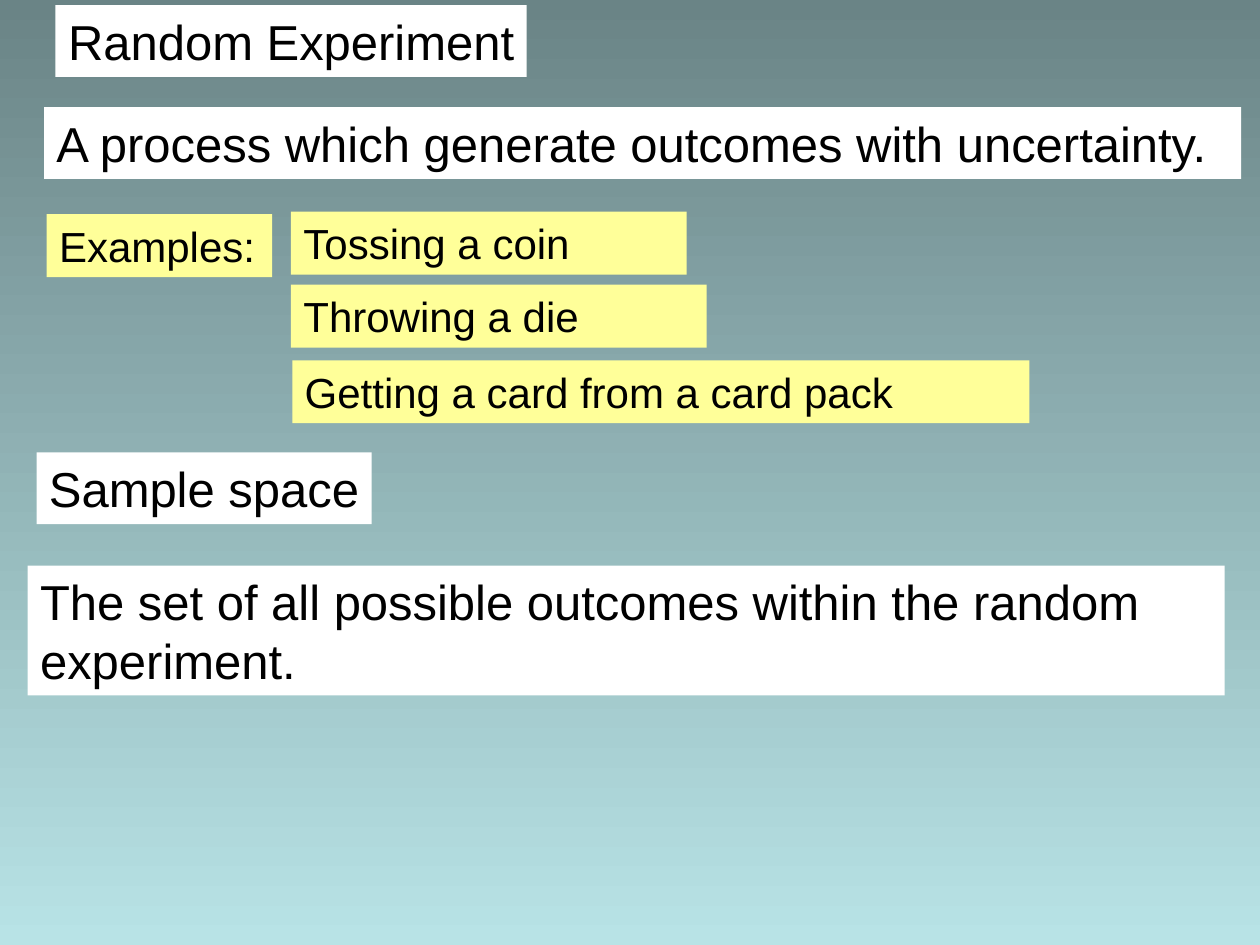
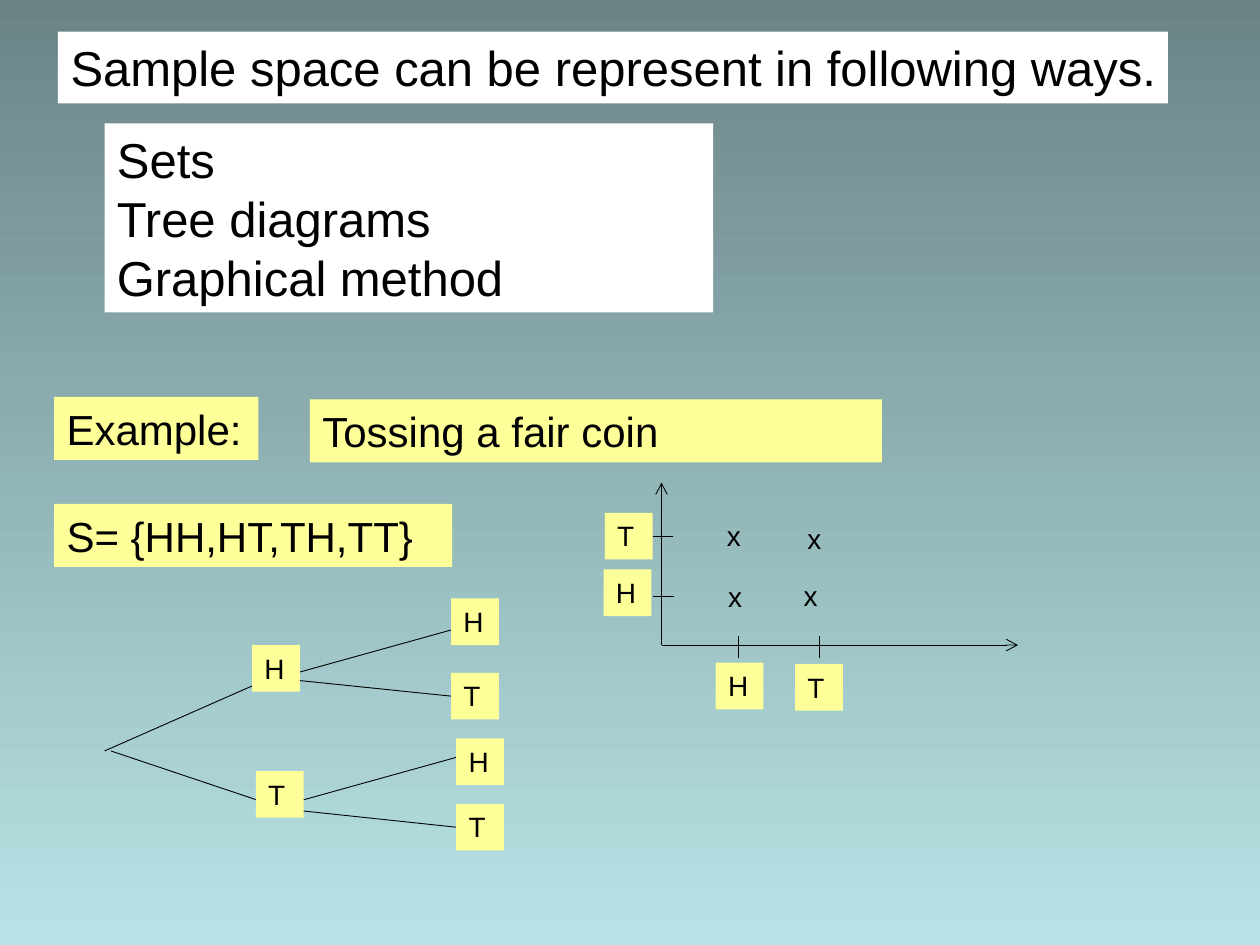
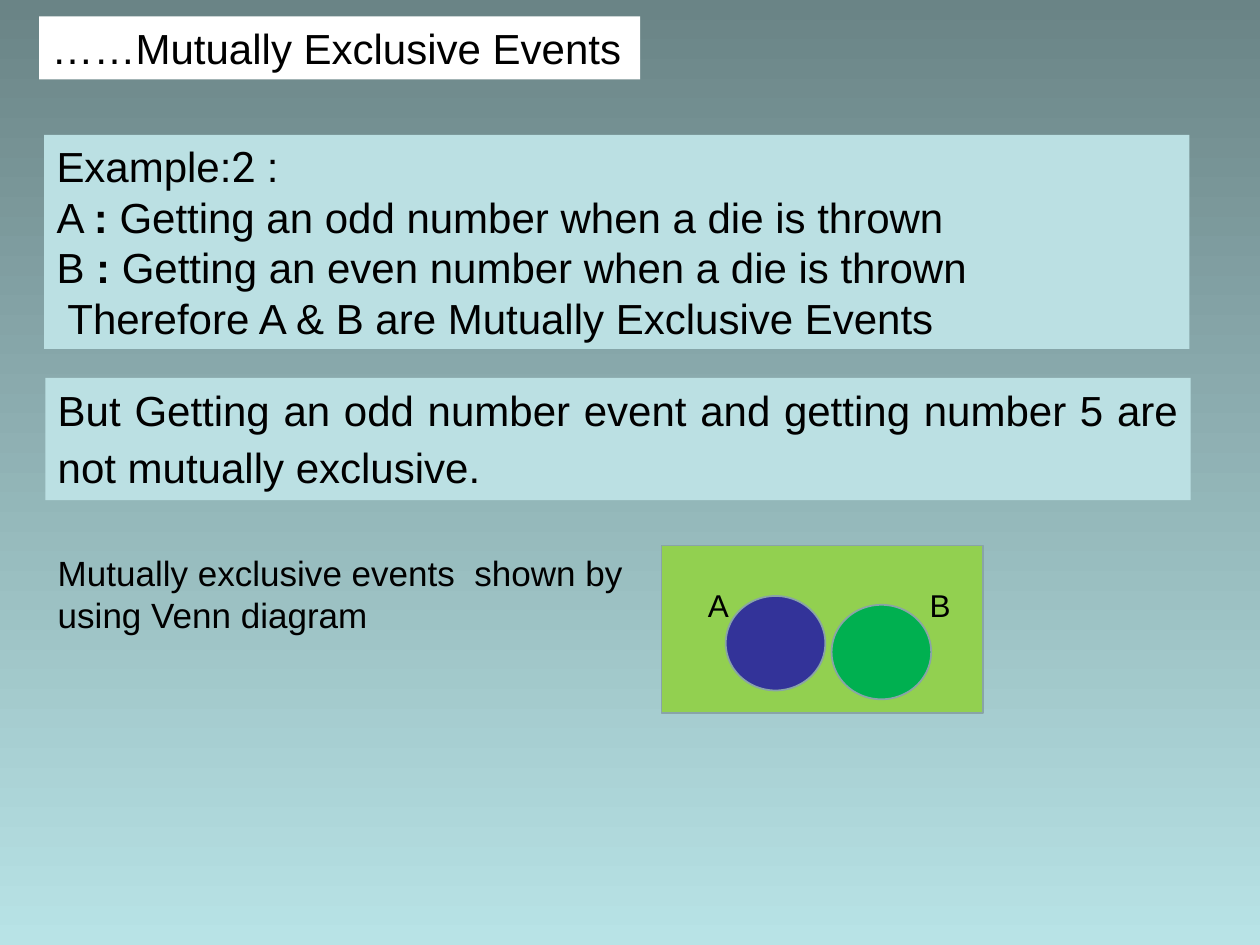
from lxml import etree
from pptx import Presentation
from pptx import util as u
from pptx.dml.color import RGBColor
from pptx.enum import shapes, text
from pptx.oxml.ns import qn

COLORS = {
    "top": "6A8486", "bottom": "B8E3E6", "ink": "000000", "white": "FFFFFF",
    "yellow": "FFFF99", "aqua": "BBE0E3", "lime": "92D050", "navy": "333399",
    "green": "00B050", "outline": "89A4A7",
}
FONT = "Arial"
LEFT, JUSTIFY = text.PP_ALIGN.LEFT, text.PP_ALIGN.JUSTIFY

HEADING = dict(size=28, fill="white")
EXAMPLE = dict(size=24, fill="yellow")
PANEL = dict(size=24, fill="aqua", align=JUSTIFY)
NODE = dict(size=16, fill="yellow", align=JUSTIFY)
MARK = dict(size=16, align=JUSTIFY)
CELL = 0.38

# Boxes: content, left, top, width, format
TITLES = [
    ("Random Experiment", 0.44, 0.04, 3.74, HEADING),
    ("Sample space can be represent in following ways.", 0.46, 0.25, 8.81, HEADING),
    ("……Mutually Exclusive Events", 0.31, 0.13, 4.77, dict(HEADING, size=24)),
]
EXPERIMENT_BOXES = [
    ("A process which generate outcomes with uncertainty.", 0.35, 0.85, 9.5, HEADING),
    ("Examples:", 0.37, 1.7, 1.79, EXAMPLE),
    ("Tossing a coin", 2.31, 1.68, 3.14, EXAMPLE),
    ("Throwing a die", 2.31, 2.26, 3.3, EXAMPLE),
    ("Getting a card from a card pack", 2.32, 2.86, 5.85, EXAMPLE),
    ("Sample space", 0.29, 3.59, 2.66, dict(HEADING, wrap=False)),
    ("The set of all possible outcomes within the random experiment.",
     0.22, 4.49, 9.5, dict(HEADING, lines=2)),
]
SPACE_BOXES = [
    (["Sets", "Tree diagrams", "Graphical method"], 0.83, 0.98, 4.83, HEADING),
    ("Example:", 0.43, 3.15, 1.62, EXAMPLE),
    ("Tossing a fair coin", 2.46, 3.17, 4.54, EXAMPLE),
    ("S= {HH,HT,TH,TT}", 0.43, 4, 3.16, EXAMPLE),
]
EVENT_BOXES = [
    ([["Example:", ("2", dict(font="Roboto")), " :"],
      ["A ", (": ", dict(bold=True)), "Getting an odd number when a die is thrown"],
      ["B ", (": ", dict(bold=True)), "Getting an even number when a die is thrown"],
      " Therefore A & B are Mutually Exclusive Events"], 0.35, 1.07, 9.09, PANEL),
    ([["But Getting an odd number event and getting number 5 are not mutually exclusive.",
       (" ", dict(size=28, bold=True))]], 0.36, 3, 9.09, dict(PANEL, height=0.97)),
    ("Mutually exclusive events  shown by using Venn diagram", 0.36, 4.33, 4.75,
     dict(size=20, lines=2)),
]
VENN_LABELS = [("A", 5.52, 4.6, 0.33, dict(size=18)), ("B", 7.28, 4.6, 0.33, dict(size=18))]

# Nodes: key -> label, left, top
NODES = {
    "first H": ("H", 2, 5.12), "first T": ("T", 2.03, 6.12),
    "HH": ("H", 3.58, 4.75), "HT": ("T", 3.58, 5.34),
    "TH": ("H", 3.62, 5.86), "TT": ("T", 3.62, 6.38),
    "x axis H": ("H", 5.68, 5.26), "x axis T": ("T", 6.31, 5.27),
    "y axis H": ("H", 4.79, 4.52), "y axis T": ("T", 4.8, 4.07),
}
MARKS = [(5.67, 4.07), (5.68, 4.55), (6.31, 4.09), (6.28, 4.54)]

# Lines: from x, from y, to x, to y
BRANCHES = {
    "first H": (0.83, 5.96, 2.17, 5.37), "first T": (0.88, 5.96, 2.25, 6.42),
    "HH": (2.25, 5.37, 3.58, 5), "HT": (2.17, 5.38, 3.58, 5.52),
    "TH": (2.33, 6.37, 3.66, 6), "TT": (2.25, 6.42, 3.67, 6.56),
}
MIDDLE_BRANCHES = ["HT", "TT"]
ORIGIN = (5.25, 5.12)
AXIS_ENDS = [(5.25, 3.83), (8.08, 5.12)]
X_TICKS = [5.86, 6.5]
Y_TICKS = {"y axis H": (5.18, 4.73), "y axis T": (5.17, 4.25)}
TICK = 0.17


def rgb(name):
    return RGBColor.from_string(COLORS[name])


def write(sp, content, size=28, fill=None, align=LEFT, wrap=True, grow=True):
    """Fill a box with a string, or a list of paragraphs made of runs."""
    if fill:
        sp.fill.solid()
        sp.fill.fore_color.rgb = rgb(fill)
    tf = sp.text_frame
    tf.word_wrap = wrap
    fit = text.MSO_AUTO_SIZE
    tf.auto_size = fit.SHAPE_TO_FIT_TEXT if grow else fit.NONE
    tf.vertical_anchor = text.MSO_ANCHOR.TOP
    paragraphs = [content] if isinstance(content, str) else content
    for i, runs in enumerate(paragraphs):
        p = tf.add_paragraph() if i else tf.paragraphs[0]
        p.alignment = align
        for run in [runs] if isinstance(runs, str) else runs:
            words, style = (run, {}) if isinstance(run, str) else run
            r = p.add_run()
            r.text = words
            r.font.name = style.get("font", FONT)
            r.font.size = u.Pt(style.get("size", size))
            r.font.bold = style.get("bold", False)
            r.font.color.rgb = rgb("ink")


def add_box(s, content, x, y, w, style, title=None):
    """Place a text box, or the title placeholder, as tall as its lines."""
    style = dict(style)
    count = style.pop("lines", 1 if isinstance(content, str) else len(content))
    h = style.pop("height", round(0.1 + count * style["size"] / 60, 2))
    place = [u.Inches(v) for v in (x, y, w, h)]
    if title is None:
        sp = s.shapes.add_textbox(*place)
    else:
        sp = title
        sp.left, sp.top, sp.width, sp.height = place
        sp.text_frame.margin_right = 0  # keeps a tight title on one line
        style["grow"] = False
    write(sp, content, **style)
    return sp


def add_line(s, x1, y1, x2, y2, arrow=False):
    line = s.shapes.add_connector(shapes.MSO_CONNECTOR.STRAIGHT,
                                  *[u.Inches(v) for v in (x1, y1, x2, y2)])
    line.line.color.rgb = rgb("ink")
    line.line.width = u.Pt(0.5)
    if arrow:
        etree.SubElement(line.line._get_or_add_ln(), qn("a:tailEnd"), type="arrow")
    etree.SubElement(line._element.spPr, qn("a:effectLst"))
    return line


def add_venn_shape(s, kind, x, y, w, h, fill):
    sp = s.shapes.add_shape(kind, *[u.Inches(v) for v in (x, y, w, h)])
    sp.shadow.inherit = False
    sp.fill.solid()
    sp.fill.fore_color.rgb = rgb(fill)
    sp.line.color.rgb = rgb("outline")
    sp.line.width = u.Pt(1)


def paint_background(master):
    fill = master.background.fill
    fill.gradient()
    fill.gradient_angle = 270
    for stop, position, name in zip(fill.gradient_stops, (0, 1), ("top", "bottom")):
        stop.position = position
        stop.color.rgb = rgb(name)


def add_slide(prs, title, boxes):
    s = prs.slides.add_slide(prs.slide_layouts[5])
    add_box(s, *title, title=s.shapes.title)
    for box in boxes:
        add_box(s, *box)
    return s


def draw_coin_diagrams(s):
    """Draw the tree and the grid; the nodes cover the line ends."""
    branches = {key: add_line(s, *ends) for key, ends in BRANCHES.items()}
    for end in AXIS_ENDS:
        add_line(s, *ORIGIN, *end, arrow=True)
    for x in X_TICKS:
        add_line(s, x, 5.22, x, 5.22 - TICK)
    y_ticks = {key: add_line(s, x, y, x + TICK, y) for key, (x, y) in Y_TICKS.items()}
    for x, y in MARKS:
        add_box(s, "x", x, y, CELL, MARK)
    nodes = {key: add_box(s, *node, CELL, NODE) for key, node in NODES.items()}
    for key in MIDDLE_BRANCHES:
        branches[key].end_connect(nodes[key], 1)
    tick = y_ticks["y axis T"]
    tick.begin_connect(nodes["y axis T"], 3)
    tick.end_y = tick.begin_y


def draw_venn(s):
    add_venn_shape(s, shapes.MSO_SHAPE.RECTANGLE, 5.25, 4.33, 2.55, 1.33, "lime")
    for x, y, fill in [(5.76, 4.73, "navy"), (6.6, 4.8, "green")]:
        add_venn_shape(s, shapes.MSO_SHAPE.OVAL, x, y, 0.79, 0.75, fill)
    for label in VENN_LABELS:
        add_box(s, *label)


def main():
    prs = Presentation()
    prs.slide_width, prs.slide_height = u.Inches(10), u.Inches(7.5)
    paint_background(prs.slide_master)
    add_slide(prs, TITLES[0], EXPERIMENT_BOXES)
    draw_coin_diagrams(add_slide(prs, TITLES[1], SPACE_BOXES))
    draw_venn(add_slide(prs, TITLES[2], EVENT_BOXES))
    prs.save("out.pptx")


if __name__ == "__main__":
    main()
